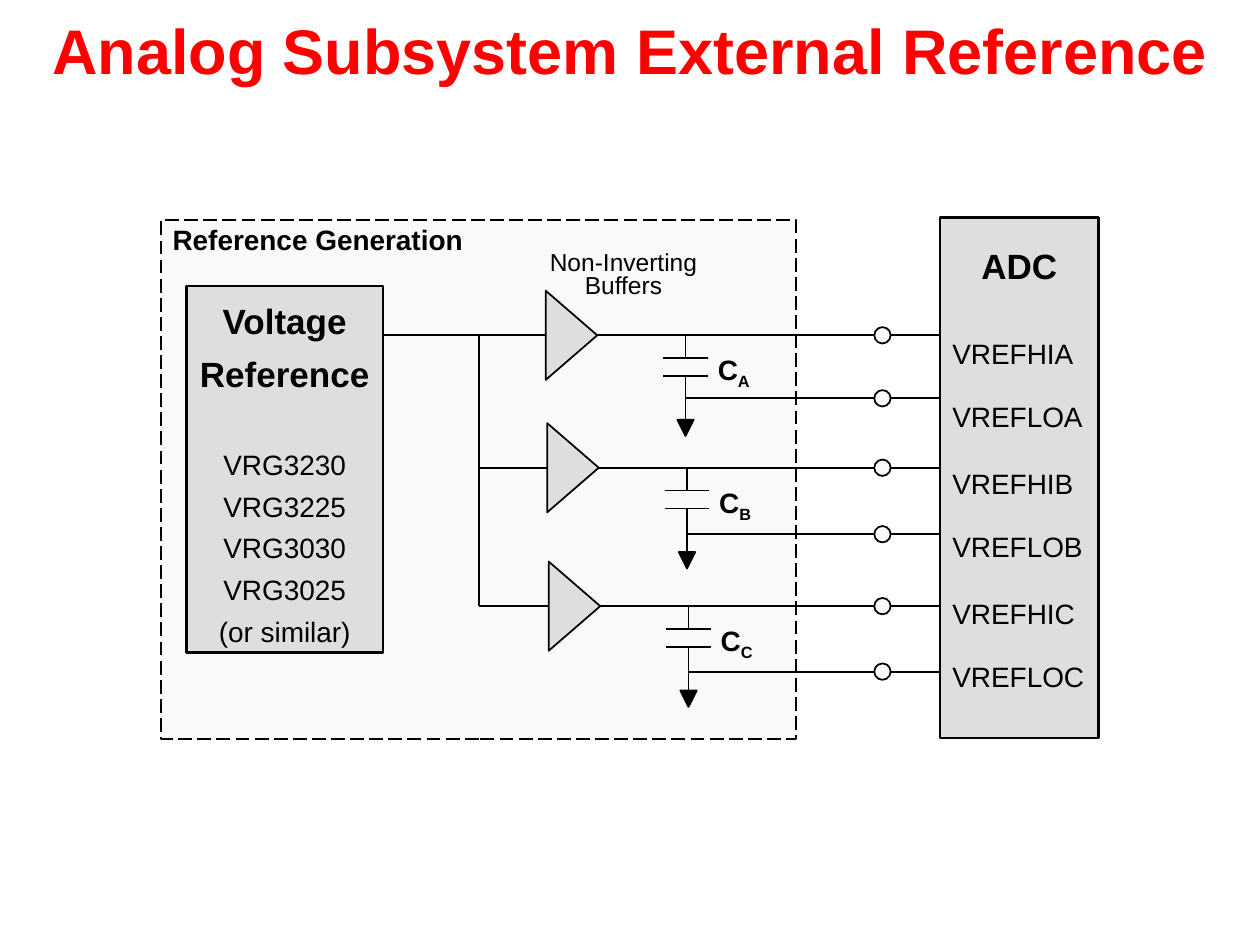
from pptx import Presentation
from pptx import util as u
from pptx.dml import color
from pptx.enum import dml, shapes, text
from lxml import etree
from pptx.oxml import ns

COLORS = {"title": "FF0000", "ink": "000000", "panel": "F9F9F9", "block": "DEDEDE"}
FONT = "Arial"
SHAPE = shapes.MSO_SHAPE
LEFT, CENTER = text.PP_ALIGN.LEFT, text.PP_ALIGN.CENTER
TOP, MIDDLE = text.MSO_ANCHOR.TOP, text.MSO_ANCHOR.MIDDLE
CHANNELS = "ABC"
HIGH_RAILS = (6.76, 9.43, 12.22)
LOW_RAILS = (8.03, 10.77, 13.54)
FRAME = (3.25, 4.44, 12.8, 10.46)
REFERENCE = (3.76, 5.77, 3.96, 7.39)
ADC = (18.95, 4.39, 3.2, 10.49)
BUS_X, BUFFER_X, CAPACITOR_X, PIN_X = 9.65, 11.52, 13.82, 17.79


def rgb(name):
    return color.RGBColor.from_string(COLORS[name])


def add_block(slide, kind, box, fill, width=1):
    shape = slide.shapes.add_shape(kind, *map(u.Cm, box))
    shape.shadow.inherit = False
    shape.fill.solid()
    shape.fill.fore_color.rgb = rgb(fill)
    shape.line.color.rgb = rgb("ink")
    shape.line.width = u.Pt(width)
    return shape


def add_wire(slide, x1, y1, x2, y2):
    wire = slide.shapes.add_connector(
        shapes.MSO_CONNECTOR.STRAIGHT, *map(u.Cm, (x1, y1, x2, y2)))
    wire.line.color.rgb = rgb("ink")
    wire.line.width = u.Pt(1)
    etree.SubElement(wire._element.spPr, ns.qn("a:effectLst"))


def style_run(run, size, bold=False, ink="ink"):
    run.font.name = FONT
    run.font.size = u.Pt(size)
    run.font.bold = bold
    run.font.color.rgb = rgb(ink)


def fill_block(shape, lines, top_margin):
    """Each line is (wording, size, bold, alignment, points before)."""
    frame = shape.text_frame
    frame.word_wrap = False
    frame.vertical_anchor = TOP
    frame.margin_top = u.Cm(top_margin)
    for index, (wording, size, bold, alignment, before) in enumerate(lines):
        paragraph = frame.paragraphs[0] if index == 0 else frame.add_paragraph()
        paragraph.text = wording
        paragraph.alignment = alignment
        paragraph.line_spacing = 0.8
        if before:
            paragraph.space_before = u.Pt(before)
        style_run(paragraph.runs[0], size, bold)


def add_label(slide, box, wording, size, bold=False, alignment=LEFT,
              wrap=False, spacing=0.8, ink="ink"):
    label = slide.shapes.add_textbox(*map(u.Cm, box))
    frame = label.text_frame
    frame.text = wording
    frame.word_wrap = wrap
    frame.vertical_anchor = MIDDLE
    paragraph = frame.paragraphs[0]
    paragraph.alignment = alignment
    paragraph.line_spacing = spacing
    style_run(paragraph.runs[0], size, bold, ink)
    return paragraph


def add_reference(slide, box):
    parts = ["VRG3230", "VRG3225", "VRG3030", "VRG3025", "(or similar)"]
    lines = [("Voltage", 20, True, CENTER, 0), ("Reference", 20, True, CENTER, 10.75)]
    lines += [(part, 16, False, CENTER, 8.5 if index else 34.2)
              for index, part in enumerate(parts)]
    fill_block(add_block(slide, SHAPE.RECTANGLE, box, "block", 1.5), lines, 0.44)


def add_adc(slide, box):
    lines = [("ADC", 20, True, CENTER, 0)]
    for channel in CHANNELS:
        gap = 32.4 if channel == "A" else 23.3
        lines += [(f"VREFHI{channel}", 16, False, LEFT, gap),
                  (f"VREFLO{channel}", 16, False, LEFT, 20.3)]
    fill_block(add_block(slide, SHAPE.RECTANGLE, box, "block", 1.5), lines, 0.71)


def add_frame(slide, box):
    left, top, _, _ = box
    frame = add_block(slide, SHAPE.RECTANGLE, box, "panel")
    frame.line.dash_style = dml.MSO_LINE.LONG_DASH
    add_label(slide, (left - 0.02, top + 0.05, 6.43, 0.81),
              "Reference Generation", 16, True)
    add_label(slide, (left + 7.44, top + 0.51, 3.76, 1.22),
              "Non-Inverting Buffers", 14, alignment=CENTER, wrap=True)


def add_capacitor(slide, x, y, channel):
    """Hang a grounded capacitor from the rail point (x, y)."""
    plate, upper, lower, ground, arrow = 0.45, 0.46, 0.82, 1.7, 0.33
    add_wire(slide, x, y, x, y + upper)
    for level in (upper, lower):
        add_wire(slide, x - plate, y + level, x + plate, y + level)
    add_wire(slide, x, y + lower, x, y + ground)
    add_block(slide, SHAPE.FLOWCHART_MERGE,
              (x - arrow / 2, y + ground, arrow, arrow), "ink")
    paragraph = add_label(slide, (x + 0.4, y + 0.33, 1.19, 0.81), "C", 16, True)
    subscript = paragraph.add_run()
    subscript.text = channel
    style_run(subscript, 16, True)
    subscript.font._element.set("baseline", "-25000")


def add_channel(slide, index, high, low, start, end):
    """Draw one buffered reference from x = start to the ADC edge x = end."""
    shift = 0.03 * index
    length, height, pin = 1.8, 1.04, 0.33
    add_wire(slide, start, high, end, high)
    add_wire(slide, end, low, CAPACITOR_X + shift, low)
    add_capacitor(slide, CAPACITOR_X + shift, high, CHANNELS[index])
    buffer = add_block(
        slide, SHAPE.FLOWCHART_EXTRACT,
        (BUFFER_X + shift - length / 2, high - height / 2, length, height), "block")
    buffer.rotation = 90
    for rail in (high, low):
        add_block(slide, SHAPE.OVAL, (PIN_X - pin / 2, rail - pin / 2, pin, pin), "panel")


def main():
    presentation = Presentation()
    presentation.slide_width, presentation.slide_height = u.Cm(25.4), u.Cm(19.05)
    slide = presentation.slides.add_slide(presentation.slide_layouts[6])
    add_label(slide, (0, 0.03, 25.4, 1.93), "Analog Subsystem External Reference", 36,
              True, CENTER, True, 1.0, "title")
    add_frame(slide, FRAME)
    add_reference(slide, REFERENCE)
    add_adc(slide, ADC)
    for index, (high, low) in enumerate(zip(HIGH_RAILS, LOW_RAILS)):
        start = BUS_X if index else REFERENCE[0] + REFERENCE[2]
        add_channel(slide, index, high, low, start, ADC[0])
    add_wire(slide, BUS_X, HIGH_RAILS[0], BUS_X, HIGH_RAILS[-1])
    presentation.save("out.pptx")


if __name__ == "__main__":
    main()
